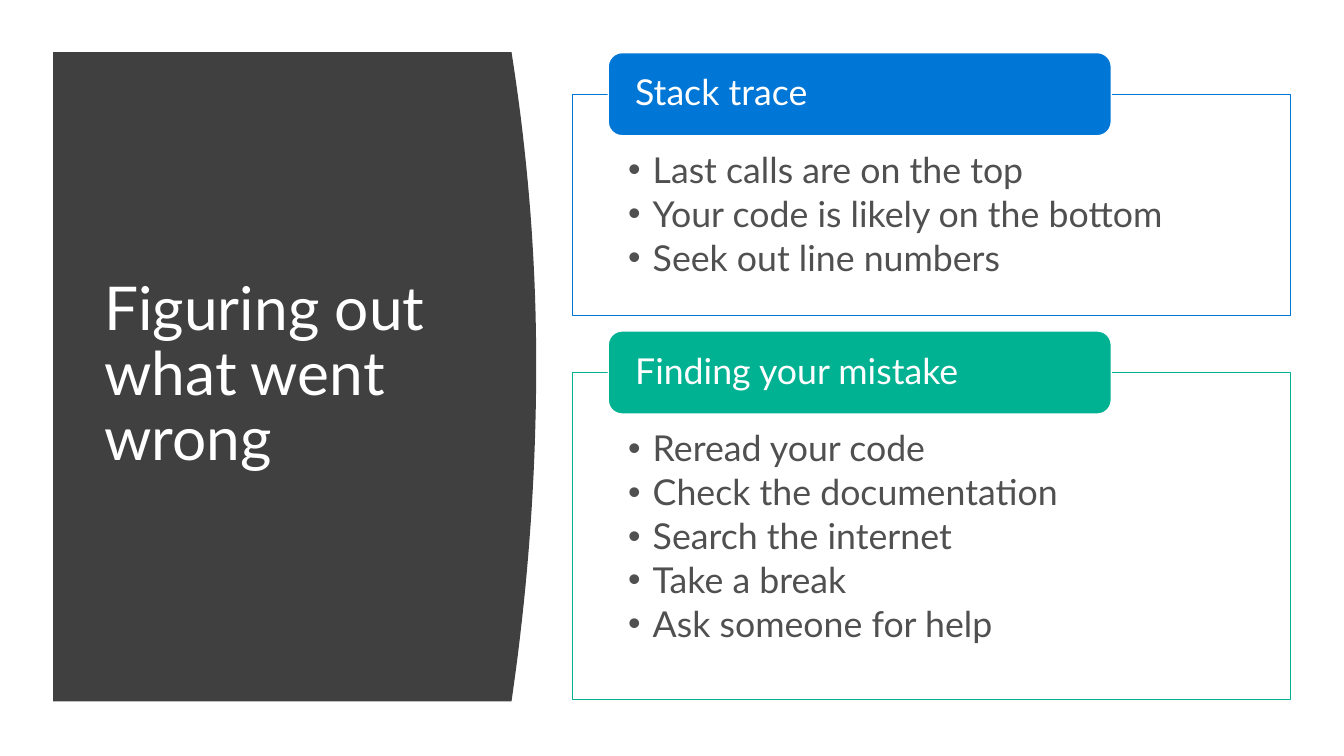
from pptx import Presentation, util as u
from pptx.dml.color import RGBColor
from pptx.enum import shapes, text
from pptx.oxml.ns import qn
from lxml import etree

FONT = "Lato"
WHITE, GREY, CHARCOAL = "FFFFFF", "505050", "404040"
BLUE, GREEN = "0076D6", "00B192"


def color(value):
    """Turn a hex string into a colour."""
    return RGBColor.from_string(value)


def paint(shape, fill, line=None):
    """Set a flat fill and an optional thin outline."""
    shape.shadow.inherit = False
    shape.fill.solid()
    shape.fill.fore_color.rgb = color(fill)
    if line:
        shape.line.color.rgb = color(line)
        shape.line.width = u.Pt(0.85)
    else:
        shape.line.fill.background()


def add_bullet(paragraph, indent=18):
    """Give a paragraph a hanging round bullet."""
    properties = paragraph._p.get_or_add_pPr()
    properties.set("marL", str(u.Pt(indent)))
    properties.set("indent", str(-u.Pt(indent)))
    bullet_color = etree.SubElement(properties, qn("a:buClr"))
    etree.SubElement(bullet_color, qn("a:srgbClr"), val=GREY)
    etree.SubElement(properties, qn("a:buFont"), typeface="Arial")
    etree.SubElement(properties, qn("a:buChar"), char="•")


def write(shape, lines, size=26, ink=WHITE, insets=(0, 0, 0, 0),
          anchor=text.MSO_ANCHOR.MIDDLE, bullets=False, gap=0):
    """Write one left-aligned paragraph for each line."""
    frame = shape.text_frame
    frame.word_wrap = True
    frame.vertical_anchor = anchor
    (frame.margin_left, frame.margin_top,
     frame.margin_right, frame.margin_bottom) = map(u.Pt, insets)
    for index, line in enumerate(lines):
        paragraph = frame.add_paragraph() if index else frame.paragraphs[0]
        paragraph.alignment = text.PP_ALIGN.LEFT
        paragraph.line_spacing = 0.9
        paragraph.space_before = u.Pt(gap if index else 0)
        if bullets:
            add_bullet(paragraph)
        run = paragraph.add_run()
        run.text = line
        run.font.name = FONT
        run.font.size = u.Pt(size)
        run.font.color.rgb = color(ink)


def title_panel(slide, left, top, width, height, title):
    """Draw the dark panel with its bulging right side and the title."""
    bulge, steps = 18, 40
    middle = 0.48
    edge = []
    for step in range(steps + 1):
        part = step / steps
        reach = middle if part < middle else 1 - middle
        x = left + width - bulge * ((part - middle) / reach) ** 2
        edge.append((u.Pt(x), u.Pt(top + height * part)))
    builder = slide.shapes.build_freeform(u.Pt(left), u.Pt(top))
    builder.add_line_segments(edge + [(u.Pt(left), u.Pt(top + height))])
    paint(builder.convert_to_shape(), CHARCOAL)
    heading = slide.shapes.add_textbox(
        u.Pt(left + 30.2), u.Pt(top + 43.2), u.Pt(274.3), u.Pt(385.2))
    write(heading, [title], size=44, insets=(7.2, 3.6, 7.2, 3.6))


def card(slide, left, top, width, height, accent, heading, points):
    """Draw an outlined list with a heading tab across its top edge."""
    body = slide.shapes.add_shape(
        shapes.MSO_SHAPE.RECTANGLE, *map(u.Pt, (left, top, width, height)))
    paint(body, WHITE, accent)
    fill = body.fill._xPr.find(qn("a:solidFill"))
    etree.SubElement(fill[0], qn("a:alpha"), val="90000")
    write(body, points, ink=GREY, insets=(40.6, 42.5, 40.6, 14.2),
          anchor=text.MSO_ANCHOR.TOP, bullets=True, gap=3.9)
    tab_height = 60.4
    tab = slide.shapes.add_shape(
        shapes.MSO_SHAPE.ROUNDED_RECTANGLE, u.Pt(left + 26.2),
        u.Pt(top - tab_height / 2), u.Pt(width * 0.7), u.Pt(tab_height))
    tab.adjustments[0] = 0.167
    paint(tab, accent, WHITE)
    write(tab, [heading], insets=(16.6, 0, 16.6, 0))


def main():
    """Build and save the slide."""
    presentation = Presentation()
    presentation.slide_width = u.Pt(979.2)
    presentation.slide_height = u.Pt(550.8)
    slide = presentation.slides.add_slide(presentation.slide_layouts[6])
    title_panel(slide, 38.7, 38, 352, 473, "Figuring out what went wrong")
    left, width = 417, 523.4
    card(slide, left, 68.6, width, 161.2, BLUE, "Stack trace", [
        "Last calls are on the top",
        "Your code is likely on the bottom",
        "Seek out line numbers",
    ])
    card(slide, left, 271.4, width, 238.2, GREEN, "Finding your mistake", [
        "Reread your code",
        "Check the documentation",
        "Search the internet",
        "Take a break",
        "Ask someone for help",
    ])
    presentation.save("out.pptx")


if __name__ == "__main__":
    main()
